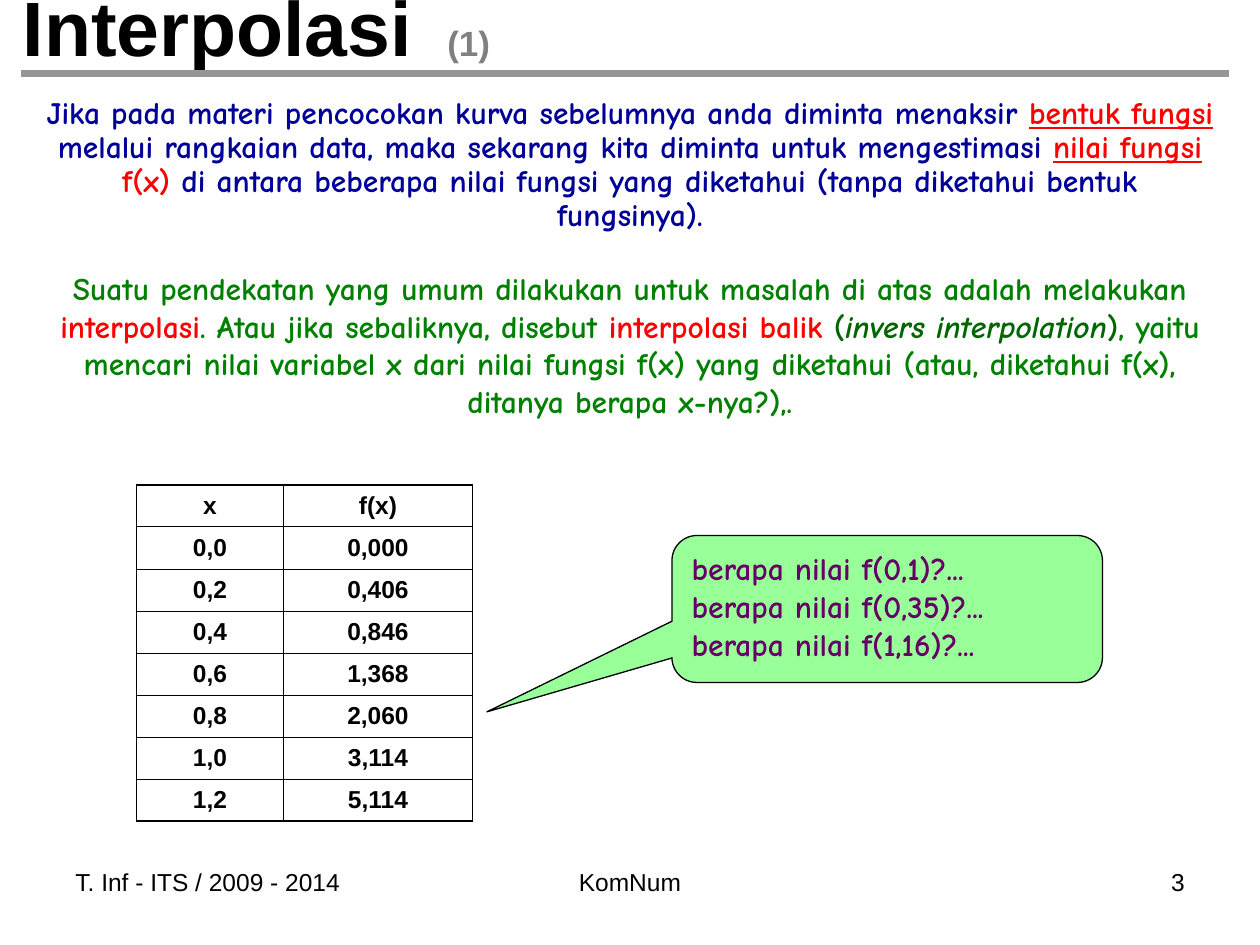
from lxml import etree
from pptx import Presentation
from pptx import util as u
from pptx.dml.color import RGBColor
from pptx.enum import shapes, text
from pptx.oxml import parse_xml
from pptx.oxml.ns import nsdecls, qn

COLORS = {
    "black": "000000", "gray": "808080", "rule": "969696", "navy": "000099",
    "red": "FF0000", "green": "008000", "dark_green": "006600",
    "purple": "660066", "mint": "99FF99",
}
ALIGN = {"l": text.PP_ALIGN.LEFT, "c": text.PP_ALIGN.CENTER, "r": text.PP_ALIGN.RIGHT}
BODY = {"font": "Comic Neue", "size": 18, "bold": True}
HEAD = {"font": "Arial", "bold": True}


def rgb(name):
    return RGBColor.from_string(COLORS[name])


def add_run(paragraph, words, font="Arial", size=14, color="black",
            bold=False, italic=False, underline=False):
    run = paragraph.add_run()
    run.text = words
    style = run.font
    style.name, style.size = font, u.Pt(size)
    style.bold, style.italic, style.underline = bold, italic, underline
    style.color.rgb = rgb(color)


class Deck:
    """Holds the shared style and the slide being built."""

    thick, thin = 1.08, 0.45

    def __init__(self, width, height):
        self.deck = Presentation()
        self.deck.slide_width, self.deck.slide_height = u.Pt(width), u.Pt(height)
        self.slide = self.deck.slides.add_slide(self.deck.slide_layouts[6])

    def fill_text(self, frame, paragraphs, align="l", spacing=None, tab=None, **style):
        frame.word_wrap = True
        for index, runs in enumerate(paragraphs):
            paragraph = frame.paragraphs[0] if index == 0 else frame.add_paragraph()
            if tab:
                tabs = etree.SubElement(paragraph._p.get_or_add_pPr(), qn("a:tabLst"))
                etree.SubElement(tabs, qn("a:tab"), pos=str(u.Pt(tab)), algn="l")
            paragraph.alignment = ALIGN[align]
            if spacing:
                paragraph.line_spacing = spacing
            for words, extra in runs:
                add_run(paragraph, words, **{**style, **extra})

    def text_box(self, box, runs, anchor=text.MSO_ANCHOR.TOP, **style):
        frame = self.slide.shapes.add_textbox(*map(u.Pt, box)).text_frame
        frame.vertical_anchor = anchor
        self.fill_text(frame, [runs], **style)

    def rule(self, left, right, y, color, weight):
        line = self.slide.shapes.add_connector(
            shapes.MSO_CONNECTOR.STRAIGHT, *map(u.Pt, (left, y, right, y)))
        line.line.color.rgb = rgb(color)
        line.line.width = u.Pt(weight)
        etree.SubElement(line._element.spPr, qn("a:effectLst"))

    def callout(self, box, lines, adjustments, fill, **style):
        bubble = self.slide.shapes.add_shape(
            shapes.MSO_SHAPE.ROUNDED_RECTANGULAR_CALLOUT, *map(u.Pt, box))
        bubble.shadow.inherit = False
        for index, value in enumerate(adjustments):
            bubble.adjustments[index] = value
        bubble.fill.solid()
        bubble.fill.fore_color.rgb = rgb(fill)
        bubble.line.color.rgb = rgb("black")
        bubble.line.width = u.Pt(0.75)
        bubble.text_frame.vertical_anchor = text.MSO_ANCHOR.TOP
        self.fill_text(bubble.text_frame, [[(line, {})] for line in lines], **style)

    def border(self, cell, side, weight):
        cell._tc.get_or_add_tcPr().append(parse_xml(
            f'<a:ln{side} {nsdecls("a")} w="{u.Pt(weight)}"><a:solidFill>'
            f'<a:srgbClr val="{COLORS["black"]}"/></a:solidFill></a:ln{side}>'))

    def table(self, left, top, widths, row_height, rows, **style):
        last_row, last_column = len(rows) - 1, len(widths) - 1
        grid = self.slide.shapes.add_table(
            len(rows), len(widths), u.Pt(left), u.Pt(top),
            u.Pt(sum(widths)), u.Pt(row_height * len(rows))).table
        grid.first_row = grid.horz_banding = False
        for column, width in zip(grid.columns, widths):
            column.width = u.Pt(width)
        for r, values in enumerate(rows):
            grid.rows[r].height = u.Pt(row_height)
            for c, value in enumerate(values):
                cell = grid.cell(r, c)
                outer = {"L": c == 0, "R": c == last_column, "T": r == 0, "B": r == last_row}
                for side, is_outer in outer.items():
                    self.border(cell, side, self.thick if is_outer else self.thin)
                cell.fill.background()
                cell.vertical_anchor = text.MSO_ANCHOR.MIDDLE
                self.fill_text(cell.text_frame, [[(value, {})]], align="c", **style)


def main():
    page = Deck(720, 540)
    red = {"color": "red"}
    asked = {"color": "red", "underline": True}
    dark = {"color": "dark_green"}

    for left, width, align, footer in [
        (36, 168, "l", "T. Inf - ITS / 2009 - 2014"),
        (246, 228, "c", "KomNum"),
        (516, 168, "r", "3"),
    ]:
        page.text_box((left, 492, width, 37.5), [(footer, {})], align=align)

    page.text_box(
        (6, -18, 648, 66),
        [("Interpolasi", {"size": 44}), ("\t(1)", {"size": 20, "color": "gray"})],
        anchor=text.MSO_ANCHOR.MIDDLE, tab=242.5, **HEAD)

    page.text_box((18, 52, 684, 92), [
        ("Jika pada materi pencocokan kurva sebelumnya anda diminta menaksir ", {}),
        ("bentuk fungsi", asked),
        (" melalui rangkaian data, maka sekarang kita diminta untuk mengestimasi ", {}),
        ("nilai fungsi", asked),
        (" ", {}),
        ("f(x)", red),
        (" di antara beberapa nilai fungsi yang diketahui "
         "(tanpa diketahui bentuk fungsinya).", {}),
    ], align="c", spacing=0.9, color="navy", **BODY)

    page.rule(12, 702, 42, "rule", 4.5)

    page.text_box((12, 150, 696, 96), [
        ("Suatu pendekatan yang umum dilakukan untuk masalah di atas adalah melakukan ", {}),
        ("interpolasi", red),
        (". Atau jika sebaliknya, disebut ", {}),
        ("interpolasi balik ", red),
        ("(", dark),
        ("invers interpolation", {**dark, "italic": True}),
        (")", dark),
        (", yaitu mencari nilai variabel x dari nilai fungsi f(x) yang diketahui "
         "(atau, diketahui f(x), ditanya berapa x-nya?),.", {}),
    ], align="c", color="green", **BODY)

    page.table(78, 277, (84, 108), 24, [
        ("x", "f(x)"), ("0,0", "0,000"), ("0,2", "0,406"), ("0,4", "0,846"),
        ("0,6", "1,368"), ("0,8", "2,060"), ("1,0", "3,114"), ("1,2", "5,114"),
    ], size=14, **HEAD)

    page.callout(
        (384, 306, 246, 84),
        [f"berapa nilai f({x})?..." for x in ("0,1", "0,35", "1,16")],
        (-0.93, 0.7, 0.17), "mint", color="purple", **BODY)

    page.deck.save("out.pptx")


if __name__ == "__main__":
    main()
